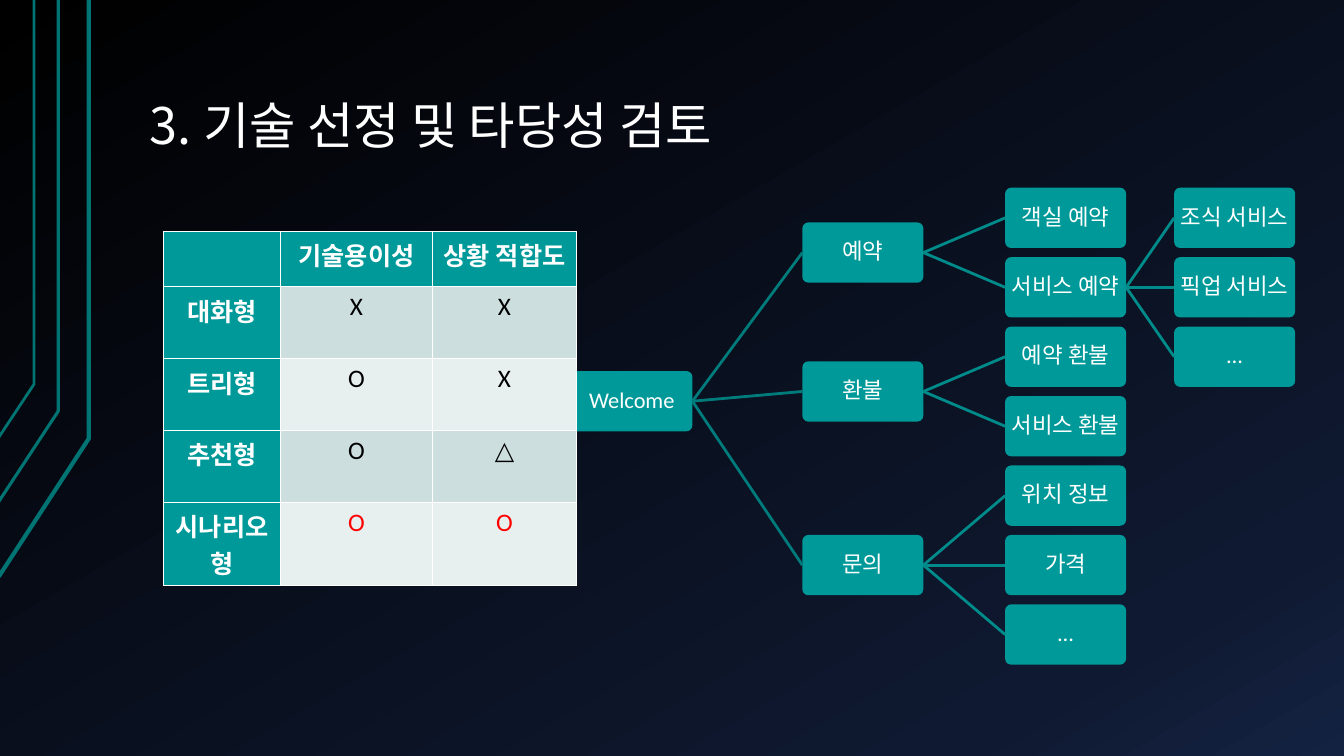
"""Build a slide with a comparison table and a chatbot scenario tree."""
from copy import deepcopy

from lxml.etree import SubElement
from pptx import Presentation
from pptx.dml.color import RGBColor
from pptx.enum.shapes import MSO_CONNECTOR as CONNECTOR, MSO_SHAPE as SHAPE
from pptx.enum.text import MSO_ANCHOR as ANCHOR, PP_ALIGN as ALIGN
from pptx.oxml import parse_xml
from pptx.oxml.ns import nsdecls, qn
from pptx.util import Cm, Pt

COLORS = {
    "night": "000000", "navy": "0F1931", "blue": "142242",
    "teal": "009999", "frame": "007373", "trunk": "007B7B", "branch": "008B8B",
    "band": "CCDEDE", "pale": "E7EFEF",
    "white": "FFFFFF", "black": "000000", "red": "FF0000",
}


def rgb(name):
    return RGBColor.from_string(COLORS[name])


def style_text(paragraph, size, color, font="Calibri", bold=False, align=ALIGN.CENTER):
    paragraph.alignment = align
    paragraph.font.name = font
    paragraph.font.size = Pt(size)
    paragraph.font.bold = bold
    paragraph.font.color.rgb = rgb(color)


presentation = Presentation()
presentation.slide_width = Cm(33.87)
presentation.slide_height = Cm(19.05)
slide = presentation.slides.add_slide(presentation.slide_layouts[6])
shapes = slide.shapes

background = slide.background.fill
background.gradient()
background.gradient_angle = 300
stop_list = next(slide.element.iter(qn("a:gsLst")))
stop_list.append(deepcopy(stop_list[1]))
gradient = [(0, "night"), (0.85, "navy"), (1, "blue")]
for stop, (position, color) in zip(background.gradient_stops, gradient):
    stop.position = position
    stop.color.rgb = rgb(color)

frame_lines = [
    (2.24, 11.05, -0.03, 14.53, 3),
    (1.47, 10.36, -0.05, 12.67, 2.25),
    (0.86, 9.68, -0.03, 11.02, 2),
]
for bend_x, bend_y, end_x, end_y, weight in frame_lines:
    builder = shapes.build_freeform(Cm(end_x), Cm(end_y))
    builder.add_line_segments([(Cm(bend_x), Cm(bend_y)), (Cm(bend_x), 0)], close=False)
    frame_line = builder.convert_to_shape()
    frame_line.shadow.inherit = False
    frame_line.fill.background()
    frame_line.line.color.rgb = rgb("frame")
    frame_line.line.width = Pt(weight)

LEVEL_LEFT = [14.4, 20.22, 25.33, 29.59]
TREE_TOP, ROW_PITCH = 4.73, 1.75
NODES = [
    ("Welcome", 0, 2.64, None),
    ("예약", 1, 0.5, 0),
    ("객실 예약", 2, 0, 1),
    ("서비스 예약", 2, 1, 1),
    ("조식 서비스", 3, 0, 3),
    ("픽업 서비스", 3, 1, 3),
    ("…", 3, 2, 3),
    ("환불", 1, 2.5, 0),
    ("예약 환불", 2, 2, 7),
    ("서비스 환불", 2, 3, 7),
    ("문의", 1, 5, 0),
    ("위치 정보", 2, 4, 10),
    ("가격", 2, 5, 10),
    ("…", 2, 6, 10),
]
boxes = []
for label, level, row, parent in NODES:
    box = shapes.add_shape(SHAPE.ROUNDED_RECTANGLE, Cm(LEVEL_LEFT[level]),
                           Cm(TREE_TOP + row * ROW_PITCH), Cm(3.05), Cm(1.52))
    box.adjustments[0] = 0.1
    box.shadow.inherit = False
    box.fill.solid()
    box.fill.fore_color.rgb = rgb("teal")
    box.line.fill.background()
    frame = box.text_frame
    frame.word_wrap = True
    frame.vertical_anchor = ANCHOR.MIDDLE
    frame.margin_left = frame.margin_right = Cm(0.07)
    frame.margin_top = frame.margin_bottom = Cm(0.07)
    paragraph = frame.paragraphs[0]
    paragraph.text = label
    paragraph.line_spacing = 0.9
    style_text(paragraph, 16, "white")
    boxes.append(box)
    if parent is not None:
        link = shapes.add_connector(CONNECTOR.STRAIGHT, 0, 0, 0, 0)
        link.begin_connect(boxes[parent], 3)
        link.end_connect(box, 1)
        link.line.color.rgb = rgb("trunk" if level == 1 else "branch")
        link.line.width = Pt(2)
        SubElement(link.element.spPr, qn("a:effectLst"))

title = shapes.add_textbox(Cm(3.53), Cm(2.41), Cm(28.78), Cm(3.4))
title.text_frame.word_wrap = True
paragraph = title.text_frame.paragraphs[0]
paragraph.text = "3. 기술 선정 및 타당성 검토"
paragraph.line_spacing = 0.9
style_text(paragraph, 36, "white", "Noto Sans CJK KR", align=ALIGN.LEFT)

TABLE_ROWS = [
    ("", "기술용이성", "상황 적합도"),
    ("대화형", "X", "X"),
    ("트리형", "O", "X"),
    ("추천형", "O", "△"),
    ("시나리오형", "O", "O"),
]
table = shapes.add_table(5, 3, Cm(4.12), Cm(5.83), Cm(10.41), Cm(8.92)).table
for column, width in zip(table.columns, [2.95, 3.83, 3.63]):
    column.width = Cm(width)
for row, height in zip(table.rows, [1.4, 1.81, 1.81, 1.81, 2.09]):
    row.height = Cm(height)
for row_index, texts in enumerate(TABLE_ROWS):
    for column_index, text in enumerate(texts):
        cell = table.cell(row_index, column_index)
        heading = row_index == 0 or column_index == 0
        cell.fill.solid()
        cell.fill.fore_color.rgb = rgb(
            "teal" if heading else "band" if row_index % 2 else "pale")
        paragraph = cell.text_frame.paragraphs[0]
        paragraph.text = text
        color = "white" if heading else "red" if row_index == 4 else "black"
        style_text(paragraph, 18, color, bold=heading)
        properties = cell._tc.get_or_add_tcPr()
        for index, side in enumerate("LRTB"):
            properties.insert(index, parse_xml(
                f'<a:ln{side} {nsdecls("a")} w="12700"><a:solidFill>'
                f'<a:srgbClr val="{COLORS["white"]}"/></a:solidFill></a:ln{side}>'))

presentation.save("out.pptx")
